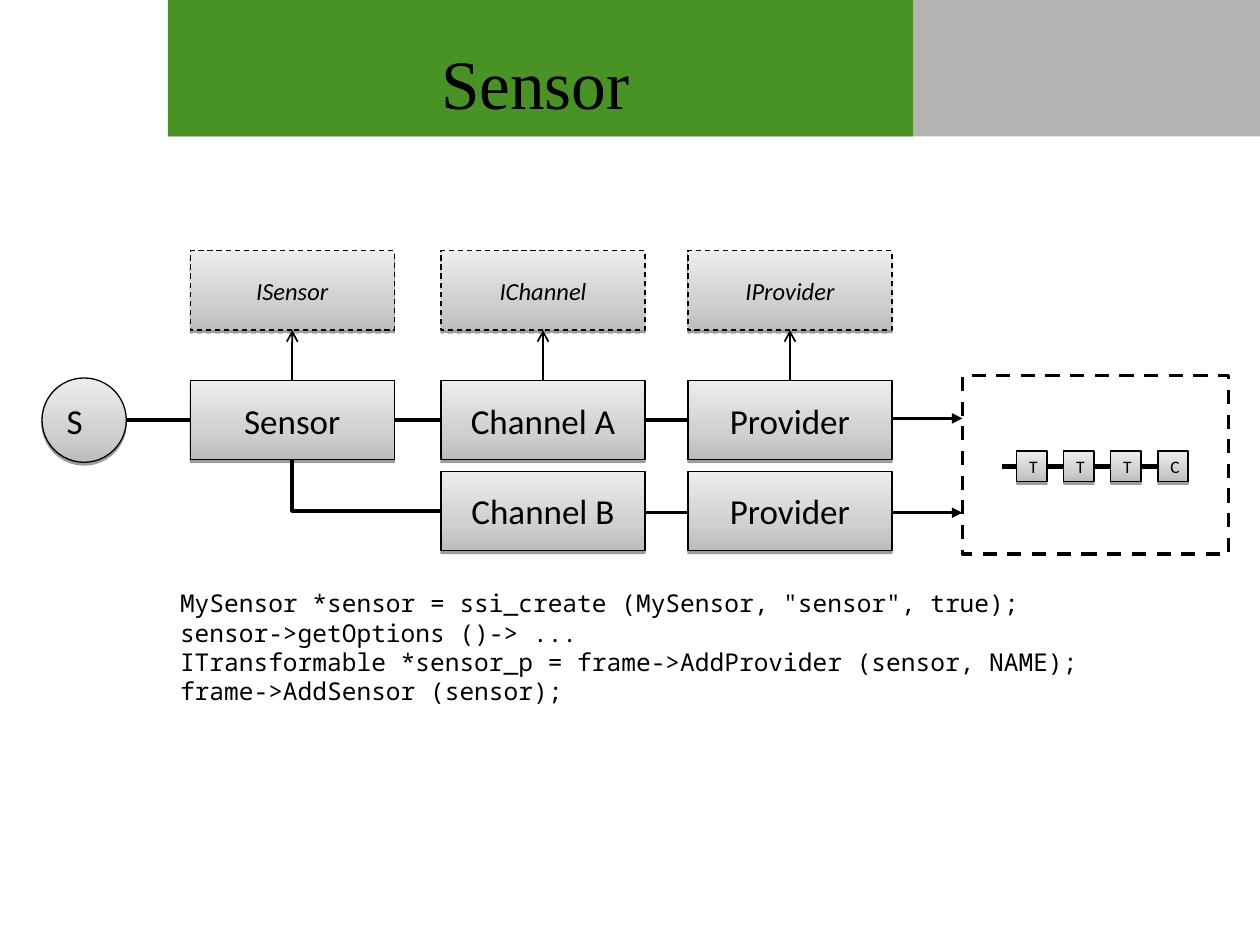
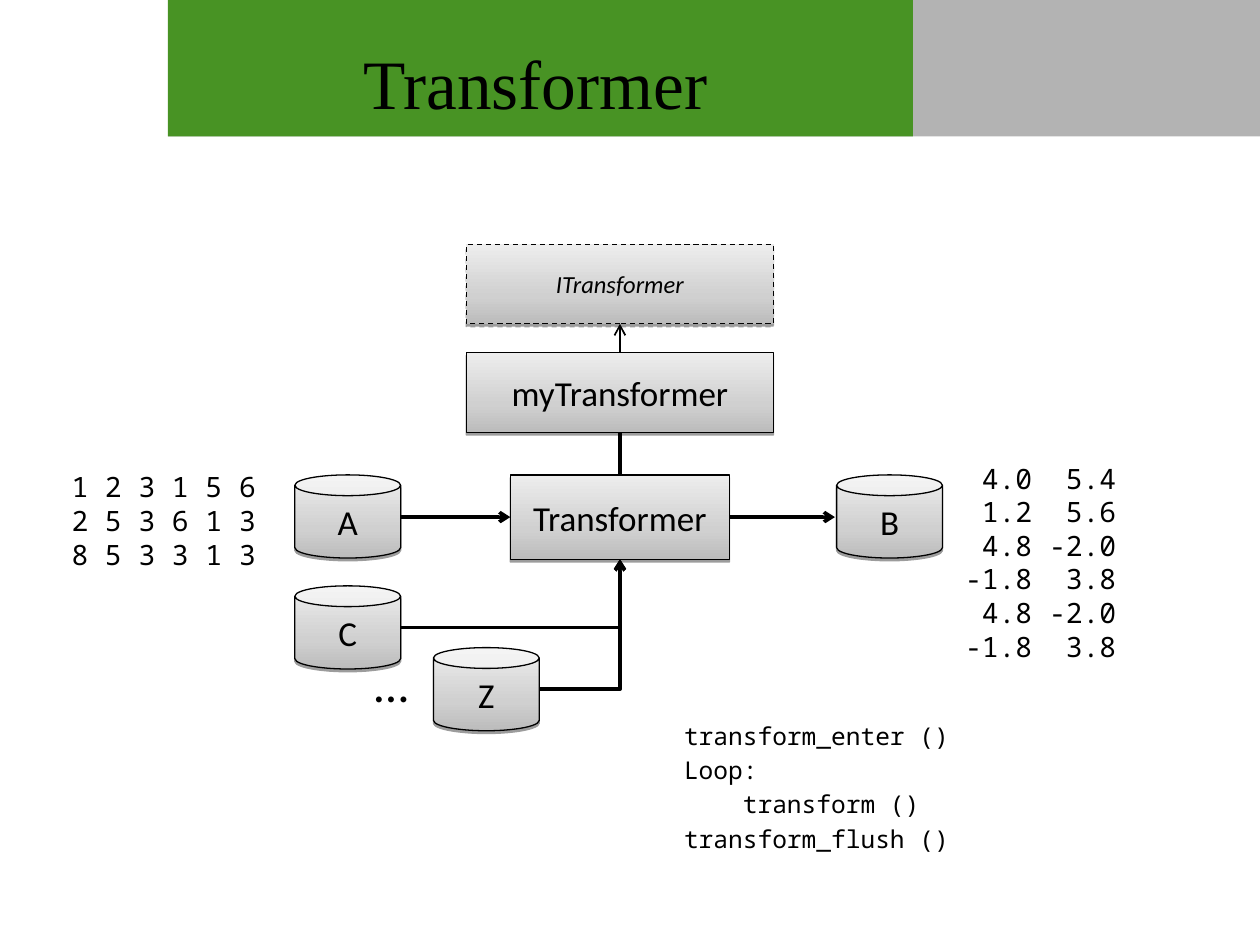
from dataclasses import dataclass

from lxml import etree
from pptx import Presentation
from pptx.dml.color import RGBColor
from pptx.enum.dml import MSO_LINE
from pptx.enum.shapes import MSO_CONNECTOR, MSO_SHAPE
from pptx.enum.text import MSO_ANCHOR, PP_ALIGN
from pptx.oxml import parse_xml
from pptx.oxml.ns import nsdecls, qn
from pptx.util import Pt

RECTANGLE, OVAL, CAN = MSO_SHAPE.RECTANGLE, MSO_SHAPE.OVAL, MSO_SHAPE.CAN
STRAIGHT, ELBOW = MSO_CONNECTOR.STRAIGHT, MSO_CONNECTOR.ELBOW
LEFT, CENTER = PP_ALIGN.LEFT, PP_ALIGN.CENTER
MIDDLE, DASH = MSO_ANCHOR.MIDDLE, MSO_LINE.DASH
RECT_LEFT, RECT_BOTTOM, CAN_RIGHT = 1, 2, 4


@dataclass(frozen=True)
class Theme:
    """Colours, fonts, type sizes and line widths of the deck."""

    ink: str = "000000"
    green: str = "489324"
    grey: str = "B3B3B3"
    gradient: tuple = ((0, "BCBCBC"), (35, "D0D0D0"), (100, "EDEDED"))
    title_font: str = "Times New Roman"
    label_font: str = "Calibri"
    code_font: str = "Noto Sans Mono"
    title: float = 39.6
    ellipsis: float = 28
    label: float = 20
    data: float = 16
    code: float = 14
    tiny: float = 10
    outline: float = 0.75
    thin: float = 1
    thick: float = 2
    chain: float = 3


THEME = Theme()


@dataclass(frozen=True)
class Box:
    """A rectangle in points."""

    left: float
    top: float
    width: float
    height: float

    @property
    def right(self):
        """Return the right edge."""
        return self.left + self.width

    @property
    def bottom(self):
        """Return the bottom edge."""
        return self.top + self.height

    @property
    def center(self):
        """Return the horizontal centre."""
        return self.left + self.width / 2

    @property
    def middle(self):
        """Return the vertical centre."""
        return self.top + self.height / 2

    def inside(self, left, top, width, height):
        """Return a box placed relative to this one."""
        return Box(self.left + left, self.top + top, width, height)

    def lengths(self):
        """Return position and size as slide lengths."""
        return [Pt(v) for v in (self.left, self.top, self.width, self.height)]


def color(value):
    """Turn a hex value into a colour."""
    return RGBColor.from_string(value)


def style_text(frame, font, size, align=LEFT, italic=False, gap=0):
    """Format every paragraph of a text frame."""
    for index, para in enumerate(frame.paragraphs):
        para.alignment = align
        para.space_before = Pt(gap if index else 0)
        for span in para.runs:
            span.font.name = font
            span.font.size = Pt(size)
            span.font.italic = italic
            span.font.color.rgb = color(THEME.ink)


def add_text(page, box, text, font, size, align=LEFT, gap=0):
    """Add a text box and return its frame."""
    frame = page.shapes.add_textbox(*box.lengths()).text_frame
    frame.word_wrap = True
    frame.text = text
    style_text(frame, font, size, align, gap=gap)
    return frame


def add_outline(page, preset, box, width, dashed=False):
    """Add an unfilled shape with a black outline."""
    shape = page.shapes.add_shape(preset, *box.lengths())
    shape.shadow.inherit = False
    shape.fill.background()
    shape.line.color.rgb = color(THEME.ink)
    shape.line.width = Pt(width)
    if dashed:
        shape.line.dash_style = DASH
    return shape


def add_card(page, preset, box, text, size=THEME.label, align=CENTER, interface=False):
    """Add a shaded, labelled shape; interfaces are dashed and italic."""
    shape = add_outline(page, preset, box, THEME.outline, interface)
    stops = "".join(
        f'<a:gs pos="{place * 1000}"><a:srgbClr val="{value}"/></a:gs>'
        for place, value in THEME.gradient)
    properties = shape._element.spPr
    properties.replace(properties.find(qn("a:noFill")), parse_xml(
        f'<a:gradFill {nsdecls("a")} rotWithShape="1"><a:gsLst>{stops}</a:gsLst>'
        '<a:lin ang="16200000" scaled="0"/></a:gradFill>'))
    properties.find(qn("a:effectLst")).append(parse_xml(
        f'<a:outerShdw {nsdecls("a")} blurRad="0" dist="20000" dir="5400000" '
        f'rotWithShape="0"><a:srgbClr val="{THEME.ink}"><a:alpha val="38000"/>'
        '</a:srgbClr></a:outerShdw>'))
    frame = shape.text_frame
    frame.word_wrap = False
    frame.vertical_anchor = MIDDLE
    frame.text = text
    style_text(frame, THEME.label_font, THEME.code if interface else size, align, interface)
    return shape


def add_line(page, start, end, width=THEME.thick, head=None, kind=STRAIGHT):
    """Add a black connector, with an arrowhead if one is named."""
    line = page.shapes.add_connector(kind, *(Pt(v) for v in (*start, *end)))
    line.line.color.rgb = color(THEME.ink)
    line.line.width = Pt(width)
    properties = line._element.spPr
    if head:
        etree.SubElement(properties.find(qn("a:ln")), qn("a:tailEnd"), type=head)
    etree.SubElement(properties, qn("a:effectLst"))
    return line


def add_corner(page, start, end, source, target, head=None):
    """Join two shapes by a line that runs across and then turns once."""
    line = add_line(page, start, end, head=head, kind=ELBOW)
    line._element.spPr.find(qn("a:prstGeom")).set("prst", "bentConnector2")
    line._connect_begin_to(*source)
    line._connect_end_to(*target)


def add_titled_page(deck, title):
    """Add a page with the two header bands and its title."""
    page = deck.slides.add_slide(deck.slide_layouts[5])
    header = Box(96, 0, 624, 78)
    for width, fill in ((425.7, THEME.green), (header.width, THEME.grey)):
        band = page.shapes.add_shape(
            RECTANGLE, *header.inside(0, 0, width, header.height).lengths())
        band.shadow.inherit = False
        band.fill.solid()
        band.fill.fore_color.rgb = color(fill)
        band.line.fill.background()
        page.shapes._spTree.insert(2, band._element)
    holder = page.shapes.title
    holder.left, holder.top, holder.width, holder.height = header.inside(
        0, 21.6, 419.8, 50.4).lengths()
    holder.text_frame.text = title
    holder.text_frame.vertical_anchor = MIDDLE
    style_text(holder.text_frame, THEME.title_font, THEME.title, CENTER)
    return page


def draw_chain(page, area):
    """Draw the dashed consumer frame with its chain of stages."""
    add_outline(page, RECTANGLE, area, THEME.thick, True)
    side, pitch = 17.3, 26.9
    previous = area.left + 22.4
    for index, letter in enumerate("TTTC"):
        stage = area.inside(31 + index * pitch, 43.2, side, side)
        add_line(page, (previous, stage.middle), (stage.left, stage.middle), THEME.chain)
        add_card(page, RECTANGLE, stage, letter, THEME.tiny, LEFT)
        previous = stage.right


def draw_sensor_diagram(page, area):
    """Draw source, sensor, channels, providers and their interfaces."""
    columns = (84.7, 228, 369.1)
    names = ("Sensor", "Channel A", "Provider")
    interfaces = ("ISensor", "IChannel", "IProvider")
    size = (116.6, 45.4)
    source = area.inside(0, 73, 48.2, 48.2)
    consumer = area.inside(526, 71.6, 152, 102)
    add_card(page, OVAL, source, "S", align=LEFT)

    upper, cards = [], []
    previous = source
    for left, name, interface in zip(columns, names, interfaces):
        box, above = area.inside(left, 74.4, *size), area.inside(left, 0.3, *size)
        add_card(page, RECTANGLE, above, interface, interface=True)
        cards.append(add_card(page, RECTANGLE, box, name))
        add_line(page, (box.center, box.top), (box.center, above.bottom), THEME.thin, "arrow")
        add_line(page, (previous.right, box.middle), (box.left, box.middle))
        upper.append(box)
        previous = box

    channel, provider = (area.inside(left, 126.3, *size) for left in columns[1:])
    channel_card = add_card(page, RECTANGLE, channel, "Channel B")
    add_card(page, RECTANGLE, provider, "Provider")
    lower_line = channel.middle + 1
    add_line(page, (channel.right, lower_line), (provider.left, lower_line))
    add_corner(page, (channel.left, channel.middle), (upper[0].center, upper[0].bottom),
               (channel_card, RECT_LEFT), (cards[0], RECT_BOTTOM))
    for height in (upper[-1].middle - 1, lower_line):
        add_line(page, (provider.right, height), (consumer.left, height), head="triangle")
    draw_chain(page, consumer)


def draw_transformer_diagram(page, area):
    """Draw the transformer with its interface, inputs and output."""
    interface = area.inside(97.9, 0, 175.7, 45.4)
    custom = area.inside(97.9, 61.9, 175.7, 45.4)
    core = area.inside(123.1, 131.7, 125.3, 48.2)
    add_card(page, RECTANGLE, interface, "ITransformer", interface=True)
    add_card(page, RECTANGLE, custom, "myTransformer")
    core_card = add_card(page, RECTANGLE, core, "Transformer")
    add_line(page, (custom.center, custom.top), (custom.center, interface.bottom),
             THEME.thin, "arrow")
    add_line(page, (core.center, custom.bottom), (core.center, core.top))

    places = {"A": (0, 131.7), "B": (309.6, 131.7), "C": (0, 195.1), "Z": (79.2, 230.4)}
    boxes = {name: area.inside(*place, 60.5, 47.5) for name, place in places.items()}
    cans = {name: add_card(page, CAN, box, name) for name, box in boxes.items()}
    for start, end in ((boxes["A"].right, core.left), (core.right, boxes["B"].left - 1)):
        add_line(page, (start, core.middle), (end, core.middle), head="arrow")
    for name in "CZ":
        box = boxes[name]
        add_corner(page, (box.right, box.middle), (core.center, core.bottom),
                   (cans[name], CAN_RIGHT), (core_card, RECT_BOTTOM), "arrow")
    add_text(page, area.inside(38.1, 230.4, 34, 41), "…",
             THEME.label_font, THEME.ellipsis, CENTER)


def draw_output_table(page, area):
    """Write the output samples in two right-aligned columns."""
    samples = (("4.0", "5.4"), ("1.2", "5.6"), ("4.8", "-2.0"),
               ("-1.8", "3.8"), ("4.8", "-2.0"), ("-1.8", "3.8"))
    text = "\n".join("\t" + "\t".join(row) for row in samples)
    frame = add_text(page, area, text, THEME.code_font, THEME.data)
    for para in frame.paragraphs:
        stops = etree.SubElement(para._p.get_or_add_pPr(), qn("a:tabLst"))
        for edge in (38.4, 86.4):
            etree.SubElement(stops, qn("a:tab"), pos=str(Pt(edge)), algn="r")


def build_sensor_page(deck):
    """Build the page about sensors."""
    page = add_titled_page(deck, "Sensor")
    draw_sensor_diagram(page, Box(24, 143, 678, 175))
    code = """MySensor *sensor = ssi_create (MySensor, "sensor", true);
sensor->getOptions ()-> ...
ITransformable *sensor_p = frame->AddProvider (sensor, NAME);
frame->AddSensor (sensor);"""
    add_text(page, Box(95.8, 332.6, 534, 75), code, THEME.code_font, THEME.code)


def build_transformer_page(deck):
    """Build the page about transformers."""
    page = add_titled_page(deck, "Transformer")
    draw_transformer_diagram(page, Box(168.5, 139.7, 370, 278))
    samples = "1 2 3 1 5 6\n2 5 3 6 1 3\n8 5 3 3 1 3"
    add_text(page, Box(33.8, 265, 130.3, 65), samples, THEME.code_font, THEME.data)
    draw_output_table(page, Box(544.3, 260, 118, 122.4))
    code = "transform_enter ()\nLoop:\n    transform ()\ntransform_flush ()"
    add_text(page, Box(383.8, 408.2, 230.4, 85), code, THEME.code_font, THEME.code, gap=2.8)


def main():
    """Build and save the deck."""
    deck = Presentation()
    deck.slide_width, deck.slide_height = Pt(720), Pt(540)
    build_sensor_page(deck)
    build_transformer_page(deck)
    deck.save("out.pptx")


if __name__ == "__main__":
    main()
